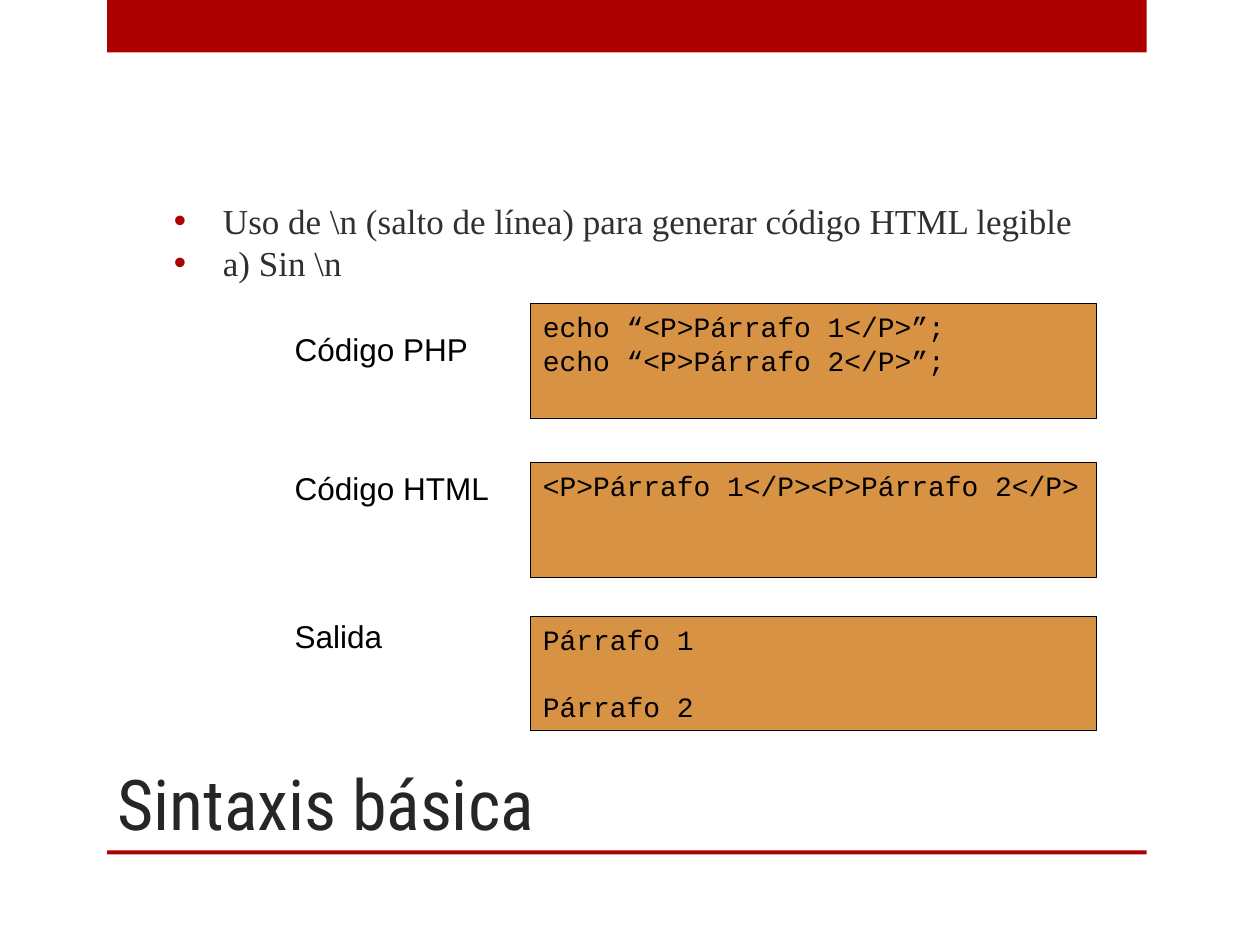
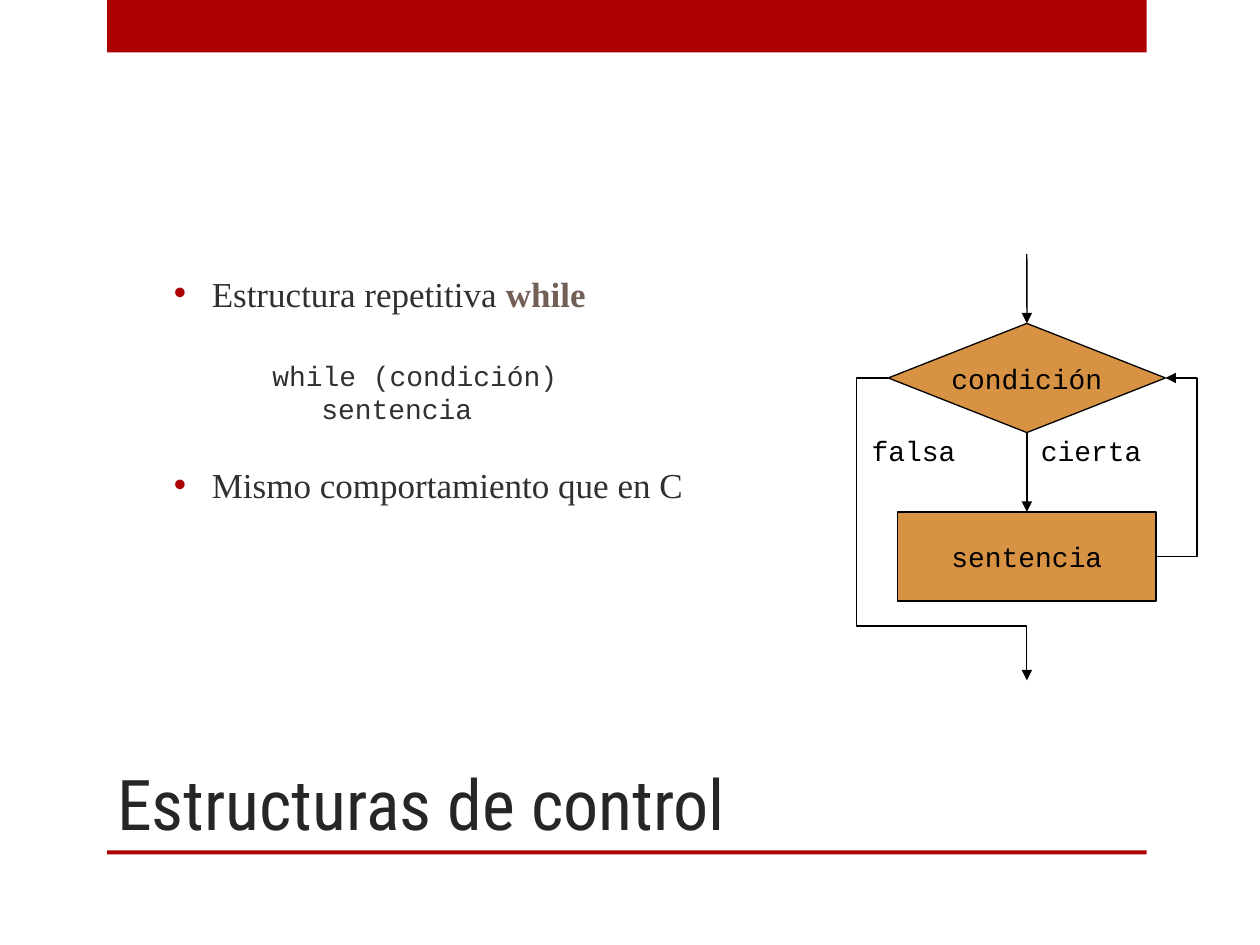
from dataclasses import dataclass

from lxml.etree import SubElement
from pptx import Presentation
from pptx.dml.color import RGBColor
from pptx.enum.shapes import MSO_CONNECTOR, MSO_SHAPE
from pptx.enum.text import MSO_ANCHOR, MSO_AUTO_SIZE, PP_ALIGN
from pptx.oxml.ns import qn
from pptx.util import Pt

RED = RGBColor(0xAD, 0x01, 0x01)
ORANGE = RGBColor(0xD8, 0x92, 0x43)
BLACK = RGBColor(0, 0, 0)
DARK = RGBColor(0x26, 0x26, 0x26)
GRAY = RGBColor(0x30, 0x30, 0x30)
BROWN = RGBColor(0x72, 0x60, 0x56)

BAND_LEFT, BAND_WIDTH = 61.2, 594
BAND_ROWS = ((0, 30), (486, 2.2))  # top, height
BODY_LEFT, BODY_WIDTH = 92.2, 612
AXIS = 586.8  # centre line of the flow chart
CODE_PITCH = 19.2


@dataclass(frozen=True)
class Style:
    font: str
    size: float
    color: RGBColor
    bold: bool = False


TITLE = Style("Roboto Condensed", 40, DARK)
LIST = Style("Times New Roman", 20, GRAY)
WORD = Style("Times New Roman", 20, BROWN, True)
LISTCODE = Style("Courier New", 16, GRAY)
CODE = Style("Courier New", 16, BLACK)
LABEL = Style("Arial", 18, BLACK)


@dataclass(frozen=True)
class Box:
    left: float
    top: float
    width: float
    height: float

    def lengths(self):
        return Pt(self.left), Pt(self.top), Pt(self.width), Pt(self.height)


@dataclass(frozen=True)
class Item:
    """A list paragraph; hang is the bullet's indent, 0 for no bullet."""
    runs: tuple[tuple[str, Style], ...]
    margin: float
    hang: float = 0
    before: float = 5
    level: int = 0


@dataclass(frozen=True)
class Sample:
    label: str
    label_top: float
    top: float
    lines: tuple[str, ...]
    gap: float = 0


SAMPLES = (
    Sample("Código PHP", 185, 173.5,
           ("echo “<P>Párrafo 1</P>”;", "echo “<P>Párrafo 2</P>”;")),
    Sample("Código HTML", 264.2, 264.2, ("<P>Párrafo 1</P><P>Párrafo 2</P>",)),
    Sample("Salida", 349.2, 352, ("Párrafo 1", "Párrafo 2"), CODE_PITCH),
)

USES = (
    Item(((r"Uso de \n (salto de línea) para generar código HTML legible", LIST),),
         28, 28),
    Item(((r"a) Sin \n", LIST),), 28, 28),
)

LOOP = (
    Item((("Estructura repetitiva ", LIST), ("while", WORD)), 21.6, 21.6),
    Item((("while (condición)", LISTCODE),), 56.2, before=29, level=1),
    Item((("sentencia", LISTCODE),), 84.2, before=3.6, level=1),
    Item((("Mismo comportamiento que en C", LIST),), 21.6, 21.6, before=27),
)


def add_run(para, text: str, style: Style) -> None:
    run = para.add_run()
    run.text = text
    font = run.font
    font.name, font.size, font.bold = style.font, Pt(style.size), style.bold
    font.color.rgb = style.color


def place(shape, box: Box) -> None:
    shape.left, shape.top, shape.width, shape.height = box.lengths()


def add_block(slide, kind, box: Box, fill: RGBColor, line: float = 0):
    shape = slide.shapes.add_shape(kind, *box.lengths())
    shape.shadow.inherit = False
    shape.fill.solid()
    shape.fill.fore_color.rgb = fill
    if line:
        shape.line.color.rgb = BLACK
        shape.line.width = Pt(line)
    else:
        shape.line.fill.background()
    return shape


def add_text(slide, box: Box, text: str, style: Style, align=PP_ALIGN.LEFT) -> None:
    frame = slide.shapes.add_textbox(*box.lengths()).text_frame
    frame.word_wrap = True
    para = frame.paragraphs[0]
    para.alignment = align
    add_run(para, text, style)


def add_slide(deck, title: str):
    """Add a slide with the shared bands and title."""
    slide = deck.slides.add_slide(deck.slide_layouts[1])
    for top, height in BAND_ROWS:
        add_block(slide, MSO_SHAPE.RECTANGLE,
                  Box(BAND_LEFT, top, BAND_WIDTH, height), RED)
    head = slide.shapes.title
    place(head, Box(59.8, 360, 534, 126))
    frame = head.text_frame
    frame.auto_size = MSO_AUTO_SIZE.NONE
    frame.vertical_anchor = MSO_ANCHOR.BOTTOM
    para = frame.paragraphs[0]
    para.alignment = PP_ALIGN.LEFT
    add_run(para, title, TITLE)
    return slide


def set_bullet(para, item: Item) -> None:
    props = para._p.get_or_add_pPr()
    props.set("marL", str(Pt(item.margin)))
    props.set("indent", str(-Pt(item.hang)))
    if not item.hang:
        SubElement(props, qn("a:buNone"))
        return
    color = SubElement(props, qn("a:buClr"))
    SubElement(color, qn("a:srgbClr"), val=str(RED))
    SubElement(props, qn("a:buFont"), typeface="Arial")
    SubElement(props, qn("a:buChar"), char="•")


def fill_body(slide, top: float, height: float, items: tuple[Item, ...]) -> None:
    body = slide.placeholders[1]
    place(body, Box(BODY_LEFT, top, BODY_WIDTH, height))
    frame = body.text_frame
    frame.auto_size = MSO_AUTO_SIZE.NONE
    frame.vertical_anchor = MSO_ANCHOR.MIDDLE
    for i, item in enumerate(items):
        para = frame.add_paragraph() if i else frame.paragraphs[0]
        para.level = item.level
        para.line_spacing = 0.8
        para.space_before = Pt(item.before)
        set_bullet(para, item)
        for text, style in item.runs:
            add_run(para, text, style)


def add_sample(slide, sample: Sample) -> None:
    box = Box(303.1, sample.top, 323.3, 65.5)
    frame = add_block(slide, MSO_SHAPE.RECTANGLE, box, ORANGE, 0.25).text_frame
    frame.word_wrap = True
    frame.vertical_anchor = MSO_ANCHOR.TOP
    for i, text in enumerate(sample.lines):
        para = frame.add_paragraph() if i else frame.paragraphs[0]
        para.alignment = PP_ALIGN.LEFT
        para.line_spacing = Pt(CODE_PITCH)
        para.space_before = Pt(sample.gap if i else 0)
        add_run(para, text, CODE)
    add_text(slide, Box(161.3, sample.label_top, 130, 29), sample.label, LABEL)


def add_node(slide, kind, top: float, width: float, height: float, text: str):
    box = Box(AXIS - width / 2, top, width, height)
    node = add_block(slide, kind, box, ORANGE, 0.75)
    frame = node.text_frame
    frame.word_wrap = False
    frame.vertical_anchor = MSO_ANCHOR.MIDDLE
    para = frame.paragraphs[0]
    para.alignment = PP_ALIGN.CENTER
    add_run(para, text, CODE)
    return node


def add_arrow(slide, start, end, kind=MSO_CONNECTOR.STRAIGHT):
    """Draw an arrow; each end is a point or a (shape, side) pair."""
    points = [(0, 0) if hasattr(e[0], "left") else e for e in (start, end)]
    (x1, y1), (x2, y2) = points
    link = slide.shapes.add_connector(kind, Pt(x1), Pt(y1), Pt(x2), Pt(y2))
    if hasattr(start[0], "left"):
        link.begin_connect(*start)
    if hasattr(end[0], "left"):
        link.end_connect(*end)
    link.line.color.rgb = BLACK
    link.line.width = Pt(0.75)
    SubElement(link.line._get_or_add_ln(), qn("a:tailEnd"), type="triangle")
    SubElement(link._element.spPr, qn("a:effectLst"))
    return link


def bend(link, preset: str, *ratios: float) -> None:
    """Set the corners of an elbow as shares of its width and height."""
    geom = link._element.spPr.find(qn("a:prstGeom"))
    geom.set("prst", preset)
    guides = geom.find(qn("a:avLst"))
    if guides is None:
        guides = SubElement(geom, qn("a:avLst"))
    for i, ratio in enumerate(ratios, 1):
        SubElement(guides, qn("a:gd"), name=f"adj{i}",
                   fmla=f"val {round(ratio * 100000)}")


def draw_syntax(deck) -> None:
    slide = add_slide(deck, "Sintaxis básica")
    fill_body(slide, 111.6, 57.6, USES)
    for sample in SAMPLES:
        add_sample(slide, sample)


def draw_loop(deck) -> None:
    slide = add_slide(deck, "Estructuras de control")
    fill_body(slide, 156.2, 136.8, LOOP)
    test = add_node(slide, MSO_SHAPE.FLOWCHART_DECISION, 184.8, 158.4, 62.4,
                    "condición")
    step = add_node(slide, MSO_SHAPE.FLOWCHART_PROCESS, 292.5, 147.6, 51,
                    "sentencia")
    add_arrow(slide, (test, 2), (step, 0))
    add_arrow(slide, (AXIS, 145.2), (test, 0))
    back = add_arrow(slide, (step, 3), (test, 3), MSO_CONNECTOR.ELBOW)
    bend(back, "bentConnector3", 4.33)
    leave = add_arrow(slide, (test, 1), (AXIS, 388.8), MSO_CONNECTOR.ELBOW)
    bend(leave, "bentConnector4", -0.23, 0.82)
    for left, text in ((581, "cierta"), (479.5, "falsa")):
        add_text(slide, Box(left, 244.5, 85, 26.6), text, CODE, PP_ALIGN.CENTER)


def main() -> None:
    deck = Presentation()
    deck.slide_width, deck.slide_height = Pt(720), Pt(540)
    draw_syntax(deck)
    draw_loop(deck)
    deck.save("out.pptx")


if __name__ == "__main__":
    main()
